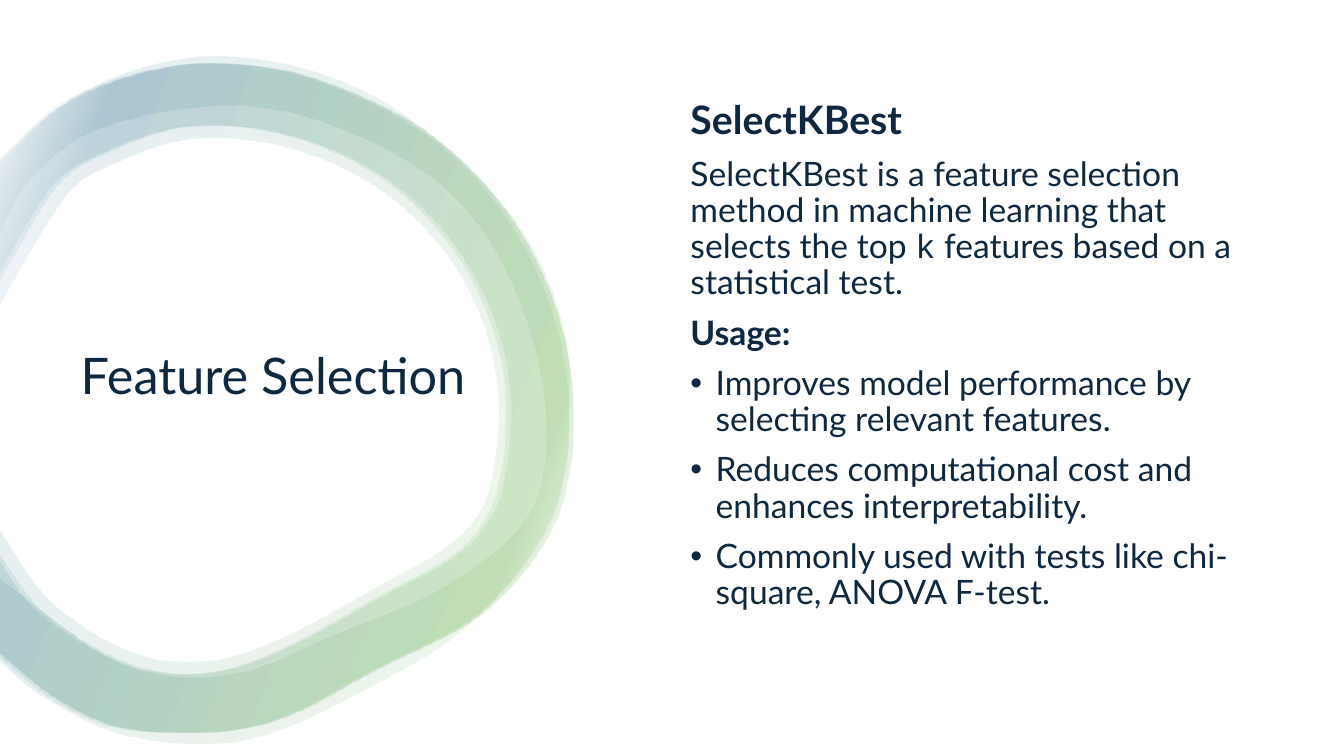
from math import dist

from pptx import Presentation
from pptx.dml.color import RGBColor
from pptx.enum.text import MSO_ANCHOR as Anchor, MSO_AUTO_SIZE as AutoSize, PP_ALIGN as Align
from pptx.oxml import parse_xml
from pptx.oxml.ns import nsdecls, qn
from pptx.util import Inches, Pt

COLORS = {"paper": "FFFFFF", "navy": "0E2841", "green": "4EA72E", "blue": "156082"}
RING_STOPS = [(2, "paper"), (16, "green"), (85, "blue"), (100, "paper")]
RING_ALPHA, RING_ANGLE, CURVE_STEPS = 10, 200, 8
LEFT_EDGE = -0.02

# Ring edges, each a smooth curve from the upper left round to the lower left
HALO_OUTER = [(-.02, 1.6), (.6, 1.05), (1.35, .69), (2.18, .56), (3.15, .72), (4.04, 1.16),
              (4.99, 2.04), (5.47, 2.88), (5.65, 3.83), (5.48, 5.08), (4.7, 6.14),
              (3.66, 6.81), (2.43, 7.33), (1.27, 7.29), (.41, 6.89), (-.02, 6.53)]
HALO_INNER = [(-.02, 2.36), (.28, 1.81), (.93, 1.3), (2.17, 1.05), (3.17, 1.2), (4.33, 1.8),
              (4.97, 2.6), (5.38, 3.85), (5.28, 5.02), (4.47, 5.77), (3.35, 6.27),
              (2.29, 6.68), (1.25, 6.59), (-.02, 5.72)]
BAND_OUTER = [(-.02, 1.63), (.62, 1.05), (1.35, .74), (2.11, .63), (3.1, .77), (4.33, 1.38),
              (5.2, 2.37), (5.65, 3.65), (5.56, 5.04), (4.86, 6.02), (3.76, 6.63),
              (2.59, 7.19), (1.29, 7.23), (.6, 6.95), (-.02, 6.46)]
THIN_INNER = [(-.02, 2.83), (.56, 1.86), (.93, 1.58), (1.87, 1.26), (2.94, 1.36),
              (3.94, 1.85), (4.67, 2.68), (5.04, 3.73), (4.97, 4.88), (4.63, 5.42),
              (3.91, 5.85), (2.41, 6.6), (1.45, 6.63), (.46, 6.09), (-.02, 5.47)]
THICK_INNER = [(-.02, 3.06), (.66, 1.94), (.99, 1.69), (1.89, 1.38), (2.91, 1.48),
               (3.86, 1.95), (4.57, 2.74), (4.92, 3.75), (4.85, 4.85), (4.55, 5.32),
               (3.86, 5.75), (2.41, 6.48), (1.48, 6.52), (.55, 6), (-.02, 5.23)]
# Outer edge, inner edge, sideways shift
RING_BANDS = [(HALO_OUTER, HALO_INNER, 0), (BAND_OUTER, THIN_INNER, -0.05),
              (BAND_OUTER, THICK_INNER, 0), (BAND_OUTER, THIN_INNER, 0)]

# Body text: runs as (text, font), size, bold, bulleted
BODY = [
    ([("SelectKBest", "Lato")], 28, True, False),
    ([("SelectKBest is a feature selection method in machine learning that selects the top ",
       "Lato"), ("k", "Courier New"), (" features based on a statistical test.", "Lato")],
     24, False, False),
    ([("Usage:", "Lato")], 24, True, False),
    ([("Improves model performance by selecting relevant features.", "Lato")], 24, False, True),
    ([("Reduces computational cost and enhances interpretability.", "Lato")], 24, False, True),
    ([("Commonly used with tests like chi-square, ANOVA F-test.", "Lato")], 24, False, True)]


def smooth(anchors):
    """Return points on a smooth curve through the anchors."""
    points = [anchors[0]]
    padded = [anchors[0], *anchors, anchors[-1]]
    for before, start, end, after in zip(padded, padded[1:], padded[2:], padded[3:]):
        length = dist(start, end)
        lead = length / (dist(before, start) + length)
        trail = length / (length + dist(end, after))
        for step in range(1, CURVE_STEPS + 1):
            t = step / CURVE_STEPS
            ease = t * t * (3 - 2 * t)
            pull_start, pull_end = t * (1 - t) ** 2 * lead, t * t * (t - 1) * trail
            points.append(tuple(
                a + (b - a) * ease + (b - p) * pull_start + (n - a) * pull_end
                for p, a, b, n in zip(before, start, end, after)))
    return points


def add_ring(slide, left, top):
    stops = "".join(
        f'<a:gs pos="{pos * 1000}"><a:srgbClr val="{COLORS[color]}">'
        f'<a:alpha val="{RING_ALPHA * 1000}"/></a:srgbClr></a:gs>' for pos, color in RING_STOPS)
    for outer, inner, shift in RING_BANDS:
        points = [(Inches(left + max(x + shift, LEFT_EDGE)), Inches(top + y))
                  for x, y in smooth(outer) + smooth(inner)[::-1]]
        outline = slide.shapes.build_freeform(*points[0])
        outline.add_line_segments(points[1:], close=True)
        band = outline.convert_to_shape()
        band.shadow.inherit = False
        band.line.fill.background()
        band.fill.background()
        properties = band.element.spPr
        properties.replace(properties.find(qn("a:noFill")), parse_xml(
            f'<a:gradFill {nsdecls("a")} rotWithShape="1"><a:gsLst>{stops}</a:gsLst>'
            f'<a:lin ang="{RING_ANGLE * 60000}" scaled="0"/></a:gradFill>'))


def format_frame(frame):
    settings = {"word_wrap": True, "auto_size": AutoSize.NONE, "vertical_anchor": Anchor.MIDDLE}
    for name, value in settings.items():
        setattr(frame, name, value)


def add_run(paragraph, text, **settings):
    run = paragraph.add_run()
    run.text = text
    for name, value in settings.items():
        setattr(run.font, name, value)
    run.font.color.rgb = RGBColor.from_string(COLORS["navy"])


def add_title(slide, left, top, width, height):
    title = slide.shapes.title
    box = {"left": left, "top": top, "width": width, "height": height}
    for name, value in box.items():
        setattr(title, name, Inches(value))
    format_frame(title.text_frame)
    heading = title.text_frame.paragraphs[0]
    heading.alignment, heading.line_spacing = Align.LEFT, 0.9
    add_run(heading, "Feature Selection", size=Pt(36), name="Lato")


def add_body(slide, left, top, width, height):
    body = slide.shapes.add_textbox(*map(Inches, (left, top, width, height))).text_frame
    format_frame(body)
    for index, (runs, size, bold, bulleted) in enumerate(BODY):
        paragraph = body.add_paragraph() if index else body.paragraphs[0]
        paragraph.line_spacing, paragraph.space_before = 0.9, Pt(10)
        for text, font in runs:
            add_run(paragraph, text, size=Pt(size), bold=bold, name=font)
        if bulleted:
            layout = paragraph._p.get_or_add_pPr()
            layout.set("marL", str(Inches(0.25)))
            layout.set("indent", str(-Inches(0.25)))
            layout.append(parse_xml(f'<a:buFont {nsdecls("a")} typeface="Arial"/>'))
            layout.append(parse_xml(f'<a:buChar {nsdecls("a")} char="•"/>'))


def main():
    deck = Presentation()
    deck.slide_width, deck.slide_height = Inches(13.33), Inches(7.5)
    slide = deck.slides.add_slide(deck.slide_layouts[5])
    slide.background.fill.solid()
    slide.background.fill.fore_color.rgb = RGBColor.from_string(COLORS["paper"])
    add_ring(slide, 0, 0)
    add_title(slide, 0.7, 1.36, 4.22, 4.78)
    add_body(slide, 6.75, 0.88, 5.71, 5.31)
    deck.save("out.pptx")


if __name__ == "__main__":
    main()
